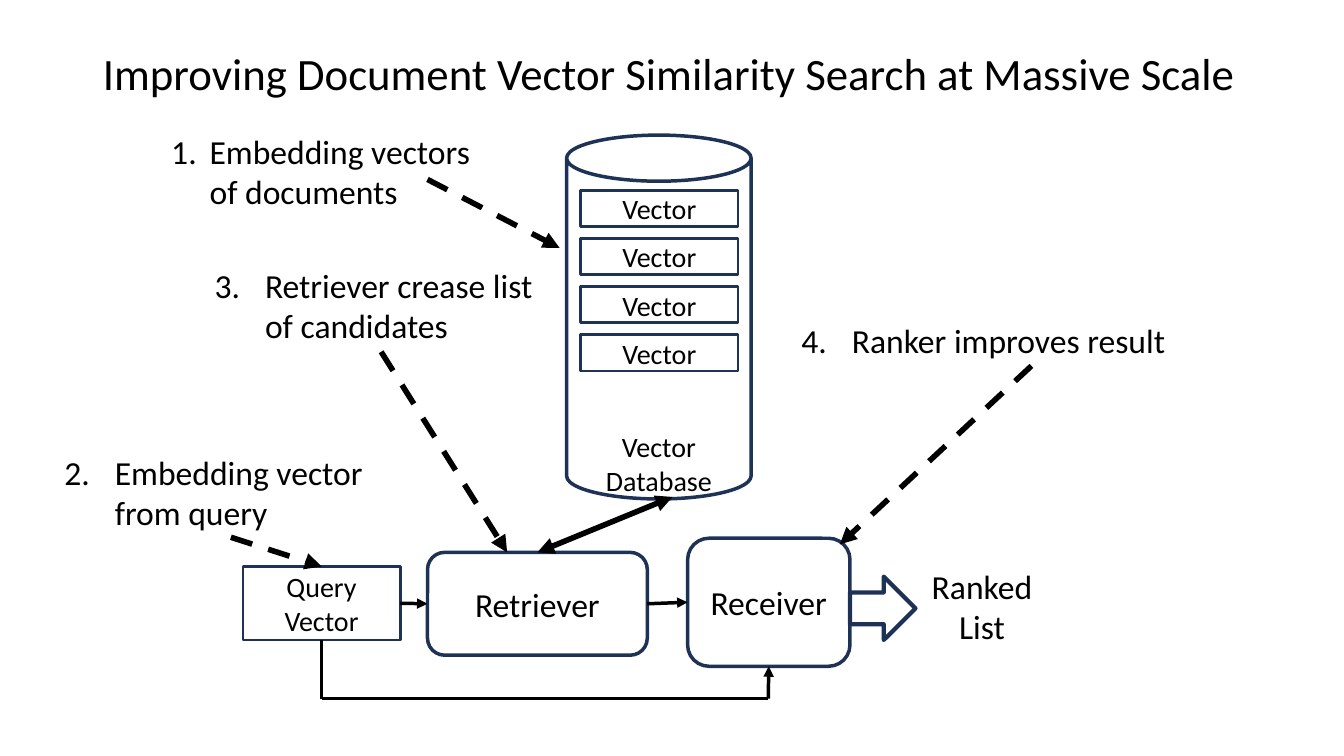
from pptx import Presentation
from pptx.dml.color import RGBColor
from pptx.enum.dml import MSO_LINE
from pptx.enum.shapes import MSO_CONNECTOR, MSO_SHAPE as Kind
from pptx.enum.text import MSO_ANCHOR, PP_ALIGN
from pptx.oxml.ns import qn
from pptx.util import Inches, Pt
from lxml.etree import SubElement

BLACK, NAVY = "000000", "1E3256"


def style(para, size, align):
    para.alignment = align
    para.font.size = Pt(size)
    para.font.name = "Calibri"
    para.font.color.rgb = RGBColor.from_string(BLACK)


def draw(kind, box, width=0, text="", size=20):
    """Add an unfilled shape; a width of 0 leaves out its outline."""
    shape = slide.shapes.add_shape(kind, *map(Inches, box))
    shape.shadow.inherit = False
    shape.fill.background()
    if width:
        shape.line.color.rgb = RGBColor.from_string(NAVY)
        shape.line.width = Pt(width)
    else:
        shape.line.fill.background()
    if text:
        frame = shape.text_frame
        frame.word_wrap = True
        frame.vertical_anchor = MSO_ANCHOR.MIDDLE
        frame.text = text
        style(frame.paragraphs[0], size, PP_ALIGN.CENTER)
    return shape


deck = Presentation()
deck.slide_width, deck.slide_height = Inches(13.33), Inches(7.5)
slide = deck.slides.add_slide(deck.slide_layouts[5])

title = slide.shapes.title
title.left, title.top = Inches(0.92), Inches(0.24)
title.width, title.height = Inches(11.5), Inches(1.02)
title.text = "Improving Document Vector Similarity Search at Massive Scale"
title.text_frame.vertical_anchor = MSO_ANCHOR.MIDDLE
head = title.text_frame.paragraphs[0]
head.line_spacing = 0.9
style(head, 32, PP_ALIGN.LEFT)

# Vector database
draw(Kind.CAN, (5.62, 1.34, 1.83, 3.61), 2.5)
for row in range(4):
    draw(Kind.RECTANGLE, (5.76, 1.89 + row * 0.477, 1.56, 0.36), 2, "Vector")
draw(Kind.RECTANGLE, (5.62, 4.45, 1.83, 0.29), text="Vector Database")

# Search pipeline
query = draw(Kind.RECTANGLE, (2.41, 5.62, 1.56, 0.73), 2, "Query Vector")
finder = draw(Kind.ROUNDED_RECTANGLE, (4.24, 5.48, 2.18, 1.02), 2.5, "Retriever", 24)
ranker = draw(Kind.ROUNDED_RECTANGLE, (6.82, 5.34, 1.61, 1.27), 2.5, "Receiver", 24)
draw(Kind.RIGHT_ARROW, (8.43, 5.72, 0.65, 0.63), 3)
draw(Kind.ROUNDED_RECTANGLE, (9.02, 5.38, 1.44, 1.27), text="Ranked List", size=24)

# Numbered steps: box, hanging indent, text
steps = [
    ((1.6, 1.25, 3.49, 0.91), 0.38, "Embedding vectors of documents"),
    ((0.54, 4.43, 3.49, 0.91), 0.5, "Embedding vector from query"),
    ((2.03, 2.58, 3.49, 0.91), 0.5, "Retriever crease list of candidates"),
    ((7.85, 3.12, 4.75, 0.5), 0.5, "Ranker improves result"),
]
for number, (box, indent, text) in enumerate(steps, 1):
    frame = slide.shapes.add_textbox(*map(Inches, box)).text_frame
    frame.word_wrap = True
    frame.text = text
    para = frame.paragraphs[0]
    props = para._p.get_or_add_pPr()
    props.set("marL", str(Inches(indent)))
    props.set("indent", str(-Inches(indent)))
    SubElement(props, qn("a:buFont"), typeface="+mj-lt")
    SubElement(props, qn("a:buAutoNum"), type="arabicPeriod", startAt=str(number))
    style(para, 24, PP_ALIGN.LEFT)

# Lines: start, end, width, dashed, arrowheads, joined start, joined end
links = [
    ((3.97, 5.99), (4.24, 5.99), 2.5, False, ["tailEnd"], (query, 3), (finder, 1)),
    ((6.42, 5.99), (6.82, 5.98), 2.5, False, ["tailEnd"], (finder, 3), (ranker, 1)),
    ((6.67, 4.93), (5.33, 5.48), 4, False, ["headEnd", "tailEnd"], None, (finder, 0)),
    ((4.24, 1.78), (5.55, 2.46), 4, True, ["tailEnd"], None, None),
    ((2.29, 5.33), (3.19, 5.62), 4, True, ["tailEnd"], None, (query, 0)),
    ((3.78, 3.49), (5.03, 5.48), 4, True, ["tailEnd"], None, None),
    ((10.23, 3.63), (8.33, 5.4), 4, True, ["tailEnd"], None, None),
    ((7.62, 6.93), (7.62, 6.62), 2.5, False, ["tailEnd"], None, (ranker, 2)),
    ((3.19, 6.93), (3.19, 6.36), 2.5, False, [], None, (query, 2)),
    ((3.19, 6.93), (7.62, 6.93), 2.5, False, [], None, None),
]
for start, end, width, dashed, tips, source, target in links:
    link = slide.shapes.add_connector(MSO_CONNECTOR.STRAIGHT, *map(Inches, start + end))
    if source:
        link.begin_connect(*source)
    if target:
        link.end_connect(*target)
    link.line.color.rgb = RGBColor.from_string(BLACK)
    link.line.width = Pt(width)
    if dashed:
        link.line.dash_style = MSO_LINE.DASH
    for tip in tips:
        SubElement(link.line._get_or_add_ln(), qn("a:" + tip), type="triangle")
    SubElement(link._element.spPr, qn("a:effectLst"))

deck.save("out.pptx")
